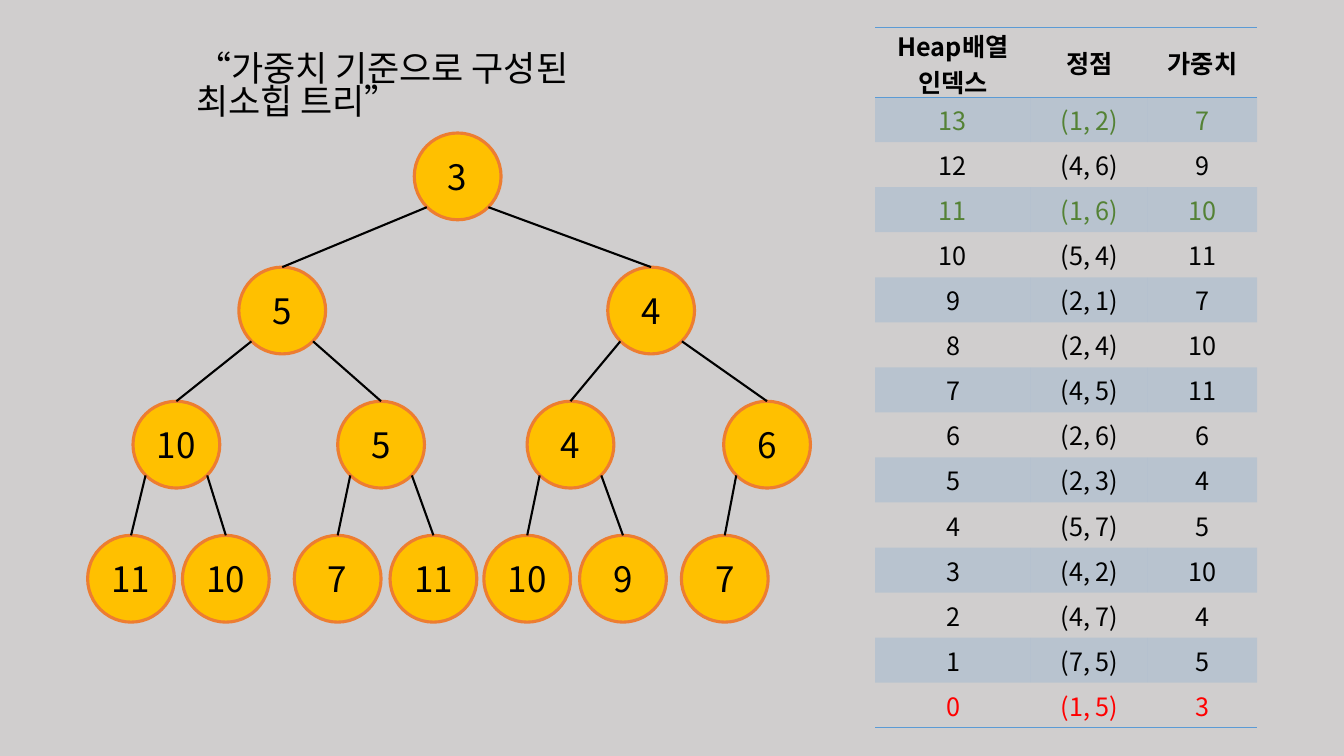
from lxml import etree
from pptx import Presentation
from pptx.dml.color import RGBColor
from pptx.enum.shapes import MSO_CONNECTOR, MSO_SHAPE
from pptx.enum.text import MSO_ANCHOR, PP_ALIGN
from pptx.oxml.ns import qn
from pptx.util import Pt

LINE = MSO_CONNECTOR.STRAIGHT
OVAL = MSO_SHAPE.OVAL
MIDDLE = MSO_ANCHOR.MIDDLE
CENTER = PP_ALIGN.CENTER

FONT = "Noto Sans CJK KR"
BLACK, GREEN, RED, BLUE = "000000", "548235", "FF0000", "5B9BD5"
PLAIN = "{2D5ABB26-0587-4C30-8999-92F81FD0307C}"

SIZE = 62
TOP = 95
STEP = 95.8

HEAP = [
    ("(1, 5)", 3, 326.9),
    ("(7, 5)", 5, 201.6),
    ("(4, 7)", 4, 465.1),
    ("(4, 2)", 10, 126),
    ("(5, 7)", 5, 272.2),
    ("(2, 3)", 4, 407.5),
    ("(2, 6)", 6, 547.9),
    ("(4, 5)", 11, 93.6),
    ("(2, 4)", 10, 161.3),
    ("(2, 1)", 7, 241.2),
    ("(5, 4)", 11, 309.6),
    ("(1, 6)", 10, 376.6),
    ("(4, 6)", 9, 445),
    ("(1, 2)", 7, 517.7),
]
TINTS = {13: GREEN, 11: GREEN, 0: RED}
HEADS = ["Heap배열\n인덱스", "정점", "가중치"]
WIDTHS = [111.4, 83.6, 78]


def color(text):
    return RGBColor.from_string(text)


def write(frame, text, size, tint=BLACK, bold=False, align=None):
    frame.text = text
    for para in frame.paragraphs:
        para.alignment = align
        font = para.font
        font.size = Pt(size)
        font.bold = bold
        font.name = FONT
        font.color.rgb = color(tint)
        props = para._p.get_or_add_pPr().find(qn("a:defRPr"))
        etree.SubElement(props, qn("a:ea"), typeface=FONT)
        for run in para.runs:
            run.font.size = Pt(size)
            run.font.bold = bold
            run.font.name = FONT
            run.font.color.rgb = color(tint)
            etree.SubElement(run.font._element, qn("a:ea"), typeface=FONT)


def add_title(slide, text):
    box = slide.shapes.add_textbox(Pt(133.2), Pt(35.3), Pt(342.7), Pt(37.4))
    box.text_frame.word_wrap = True
    write(box.text_frame, text, 25)
    box.text_frame.paragraphs[0].line_spacing = 0.8


def add_node(slide, x, y, label):
    node = slide.shapes.add_shape(
        OVAL, Pt(x - SIZE / 2), Pt(y), Pt(SIZE), Pt(SIZE))
    node.shadow.inherit = False
    node.fill.solid()
    node.fill.fore_color.rgb = color("FFC000")
    node.line.color.rgb = color("ED7D31")
    node.line.width = Pt(2.25)
    frame = node.text_frame
    frame.word_wrap = False
    frame.vertical_anchor = MIDDLE
    write(frame, label, 25, align=CENTER)


def add_edge(slide, x, y, child, low):
    reach = SIZE / 2 * 0.71
    side = reach if child > x else -reach
    edge = slide.shapes.add_connector(
        LINE, Pt(x + side), Pt(y + SIZE / 2 + reach), Pt(child), Pt(low))
    edge.line.color.rgb = color(BLACK)
    edge.line.width = Pt(1.5)
    etree.SubElement(edge._element.spPr, qn("a:effectLst"))


def add_tree(slide):
    for index, (_, weight, x) in enumerate(HEAP):
        y = TOP + STEP * ((index + 1).bit_length() - 1)
        add_node(slide, x, y, str(weight))
        if index:
            add_edge(slide, HEAP[(index - 1) // 2][2], y - STEP, x, y)


def add_rule(cell, side):
    rule = etree.Element(qn(f"a:ln{side}"), w=str(Pt(1)))
    fill = etree.SubElement(rule, qn("a:solidFill"))
    etree.SubElement(fill, qn("a:srgbClr"), val=BLUE)
    cell._tc.get_or_add_tcPr().insert(0, rule)


def shade(cell, band):
    if not band:
        cell.fill.background()
        return
    cell.fill.solid()
    cell.fill.fore_color.rgb = color(BLUE)
    tone = cell._tc.tcPr.find(".//" + qn("a:srgbClr"))
    etree.SubElement(tone, qn("a:alpha"), val="20000")


def add_grid(slide):
    rows = [HEADS]
    for index in reversed(range(len(HEAP))):
        pair, weight, _ = HEAP[index]
        rows.append([str(index), pair, str(weight)])
    last = len(rows) - 1
    shape = slide.shapes.add_table(
        len(rows), len(HEADS), Pt(625), Pt(19.4), Pt(273), Pt(500.8))
    shape._element.find(".//" + qn("a:tableStyleId")).text = PLAIN
    table = shape.table
    table.horz_banding = False
    for column, width in zip(table.columns, WIDTHS):
        column.width = Pt(width)
    for top, texts in enumerate(rows):
        table.rows[top].height = Pt(32.2 if top else 50)
        tint = TINTS.get(last - top, BLACK)
        for left, text in enumerate(texts):
            cell = table.cell(top, left)
            cell.vertical_anchor = MIDDLE
            cell.margin_top = cell.margin_bottom = Pt(0)
            write(cell.text_frame, text, 18, tint, top == 0, CENTER)
            shade(cell, top % 2 == 1)
            if top in (0, last):
                add_rule(cell, "B")
            if top == 0:
                add_rule(cell, "T")


def main():
    deck = Presentation()
    deck.slide_width, deck.slide_height = Pt(960), Pt(540)
    slide = deck.slides.add_slide(deck.slide_layouts[6])
    slide.background.fill.solid()
    slide.background.fill.fore_color.rgb = color("D0CECE")
    add_title(slide, "“가중치 기준으로 구성된 최소힙 트리”")
    add_tree(slide)
    add_grid(slide)
    deck.save("out.pptx")


if __name__ == "__main__":
    main()
